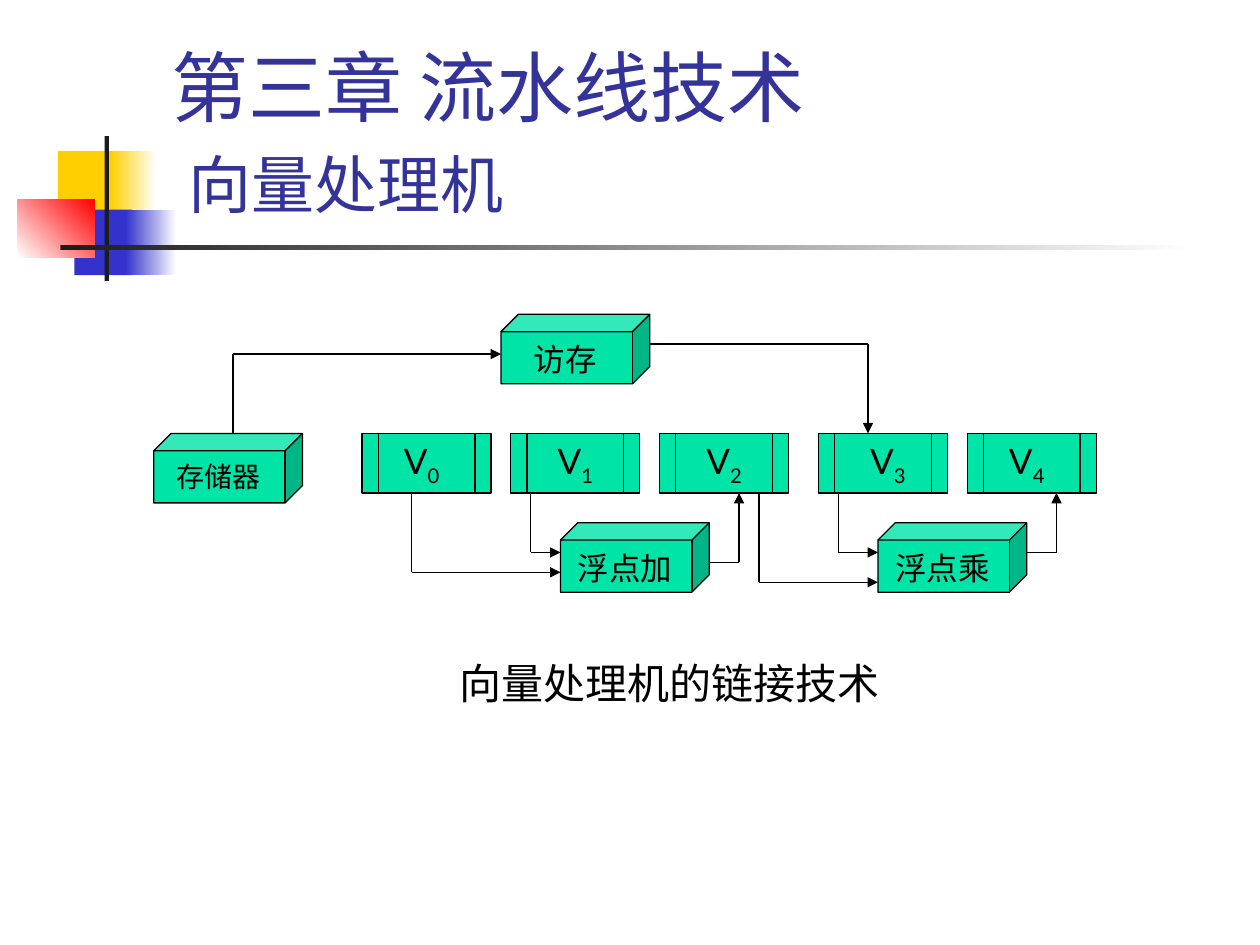
"""Build the vector processor chaining slide."""
from dataclasses import dataclass
from itertools import pairwise
from typing import NamedTuple

from lxml.etree import SubElement
from pptx import Presentation
from pptx.dml.color import RGBColor
from pptx.enum.shapes import MSO_CONNECTOR as Connector, MSO_SHAPE as Shape
from pptx.enum.text import MSO_ANCHOR as Anchor, PP_ALIGN as Align
from pptx.oxml.ns import qn
from pptx.util import Inches, Pt

WIDTH, HEIGHT = 10, 7.5
UNIT = 10 / 127
LEFT, TOP = 1.22, 3.44
LATIN, HAN = "Lato", "Noto Sans CJK SC"

BLACK = RGBColor(0x00, 0x00, 0x00)
WHITE = RGBColor(0xFF, 0xFF, 0xFF)
GREEN = RGBColor(0x00, 0xE4, 0xA8)
YELLOW = RGBColor(0xFF, 0xCF, 0x01)
BLUE = RGBColor(0x33, 0x33, 0xCC)
RED = RGBColor(0xFF, 0x00, 0x00)
DARK = RGBColor(0x1C, 0x1C, 0x1C)
INDIGO = RGBColor(0x33, 0x33, 0x99)


class Frame(NamedTuple):
    left: float
    top: float
    width: float
    height: float


@dataclass(frozen=True)
class Ornament:
    share: Frame
    start: RGBColor
    end: RGBColor | None = None
    angle: int = 0


@dataclass(frozen=True)
class Unit:
    name: str
    column: int
    row: int
    size: int = 18


@dataclass(frozen=True)
class Register:
    number: int
    column: int
    label_column: int
    label_width: int


ORNAMENTS = (
    Ornament(Frame(4.6, 16, 4.8, 6.93), YELLOW),
    Ornament(Frame(8.8, 16, 3.6, 6.93), YELLOW, WHITE),
    Ornament(Frame(5.9, 22.2, 4.6, 6.93), BLUE),
    Ornament(Frame(10, 22.2, 4, 6.93), BLUE, WHITE),
    Ornament(Frame(1.4, 21.07, 6.1, 6.2), WHITE, RED, 45),
    Ornament(Frame(8.3, 14.4, 0.35, 15.33), DARK),
    Ornament(Frame(4.8, 25.95, 90, 0.47), DARK, WHITE),
)
UNITS = (
    Unit("存储器", 0, 0, 16),
    Unit("访存", 35, -12),
    Unit("浮点乘", 73, 9),
    Unit("浮点加", 41, 9),
)
REGISTERS = (
    Register(0, 21, 22, 10),
    Register(1, 36, 38, 9),
    Register(2, 51, 52, 11),
    Register(3, 67, 69, 10),
    Register(4, 82, 83, 10),
)
ROUTES = (
    ((8, 0), (8, -8), (35, -8)),
    ((38, 6), (38, 12), (41, 12)),
    ((26, 6), (26, 14), (41, 14)),
    ((56, 13), (59, 13), (59, 6)),
    ((61, 6), (61, 15), (73, 15)),
    ((69, 6), (69, 12), (73, 12)),
    ((50, -9), (72, -9), (72, 0)),
    ((88, 12), (91, 12), (91, 6)),
)


def on_grid(column: float, row: float) -> tuple[int, int]:
    """Turn a grid point into slide lengths."""
    return Inches(LEFT + column * UNIT), Inches(TOP + row * UNIT)


def grid_frame(column: float, row: float, columns: float, rows: float) -> Frame:
    """Turn a block of grid cells into slide lengths."""
    return Frame(*on_grid(column, row), Inches(columns * UNIT), Inches(rows * UNIT))


def share_frame(share: Frame) -> Frame:
    """Turn percentages of the slide into slide lengths."""
    sides = (WIDTH, HEIGHT, WIDTH, HEIGHT)
    return Frame(*(Inches(part * side / 100) for part, side in zip(share, sides)))


def add_span(para, text: str, *, size: float, color: RGBColor = BLACK,
             latin: str = LATIN, baseline: int = 0) -> None:
    """Add a formatted run to a paragraph."""
    span = para.add_run()
    span.text = text
    span.font.size = Pt(size)
    span.font.color.rgb = color
    span.font.name = latin
    properties = span._r.get_or_add_rPr()
    SubElement(properties, qn("a:ea")).set("typeface", HAN)
    if baseline:
        properties.set("baseline", str(baseline * 1000))


def add_box(page, frame: Frame, *, align: Align = Align.CENTER,
            anchor: Anchor = Anchor.TOP):
    """Add a wrapping text box and return its paragraph."""
    box = page.shapes.add_textbox(*frame).text_frame
    box.word_wrap = True
    box.vertical_anchor = anchor
    para = box.paragraphs[0]
    para.alignment = align
    return para


def add_block(page, kind: Shape, frame: Frame) -> None:
    """Draw an outlined green block."""
    block = page.shapes.add_shape(kind, *frame)
    block.shadow.inherit = False
    block.fill.solid()
    block.fill.fore_color.rgb = GREEN
    block.line.color.rgb = BLACK
    block.line.width = Pt(0.75)


def add_ornament(page, ornament: Ornament) -> None:
    """Draw a plain or fading rectangle."""
    patch = page.shapes.add_shape(Shape.RECTANGLE, *share_frame(ornament.share))
    patch.shadow.inherit = False
    patch.line.fill.background()
    if ornament.end is None:
        patch.fill.solid()
        patch.fill.fore_color.rgb = ornament.start
        return
    patch.fill.gradient()
    patch.fill.gradient_angle = ornament.angle
    colors = (ornament.start, ornament.end)
    for position, (stop, color) in enumerate(zip(patch.fill.gradient_stops, colors)):
        stop.position = position
        stop.color.rgb = color


def add_unit(page, unit: Unit) -> None:
    """Draw a functional unit as a labelled cube."""
    add_block(page, Shape.CUBE, grid_frame(unit.column, unit.row, 15, 7))
    para = add_box(page, grid_frame(unit.column, unit.row + 2, 13, 5))
    add_span(para, unit.name, size=unit.size)


def add_register(page, register: Register) -> None:
    """Draw a vector register with its subscripted name."""
    add_block(page, Shape.FLOWCHART_PREDEFINED_PROCESS,
              grid_frame(register.column, 0, 13, 6))
    para = add_box(page, grid_frame(register.label_column, 0, register.label_width, 6))
    add_span(para, "V", size=20)
    add_span(para, str(register.number), size=20, baseline=-25)


def add_route(page, points: tuple[tuple[int, int], ...]) -> None:
    """Draw straight lines through points, ending in an arrowhead."""
    for start, end in pairwise(points):
        line = page.shapes.add_connector(
            Connector.STRAIGHT, *on_grid(*start), *on_grid(*end))
        line.line.color.rgb = BLACK
        line.line.width = Pt(0.75)
        if end == points[-1]:
            SubElement(line.line._get_or_add_ln(), qn("a:tailEnd")).set("type", "triangle")
        SubElement(line._element.spPr, qn("a:effectLst"))


def add_title(page) -> None:
    """Write the two-line title."""
    para = add_box(page, share_frame(Frame(12.6, 3.07, 85.2, 21.33)),
                   align=Align.LEFT, anchor=Anchor.BOTTOM)
    add_span(para, "第三章 流水线技术", size=44, color=INDIGO, latin=HAN)
    para.add_line_break()
    add_span(para, " ", size=44, color=INDIGO)
    add_span(para, "向量处理机", size=36, color=INDIGO, latin=HAN)


def main() -> None:
    """Build and save the deck."""
    deck = Presentation()
    deck.slide_width, deck.slide_height = Inches(WIDTH), Inches(HEIGHT)
    page = deck.slides.add_slide(deck.slide_layouts[6])
    for ornament in ORNAMENTS:
        add_ornament(page, ornament)
    add_title(page)
    for unit in UNITS:
        add_unit(page, unit)
    for register in REGISTERS:
        add_register(page, register)
    for route in ROUTES:
        add_route(page, route)
    caption = add_box(page, grid_frame(17, 22, 70, 6.35))
    add_span(caption, "向量处理机的链接技术", size=24)
    deck.save("out.pptx")


if __name__ == "__main__":
    main()
